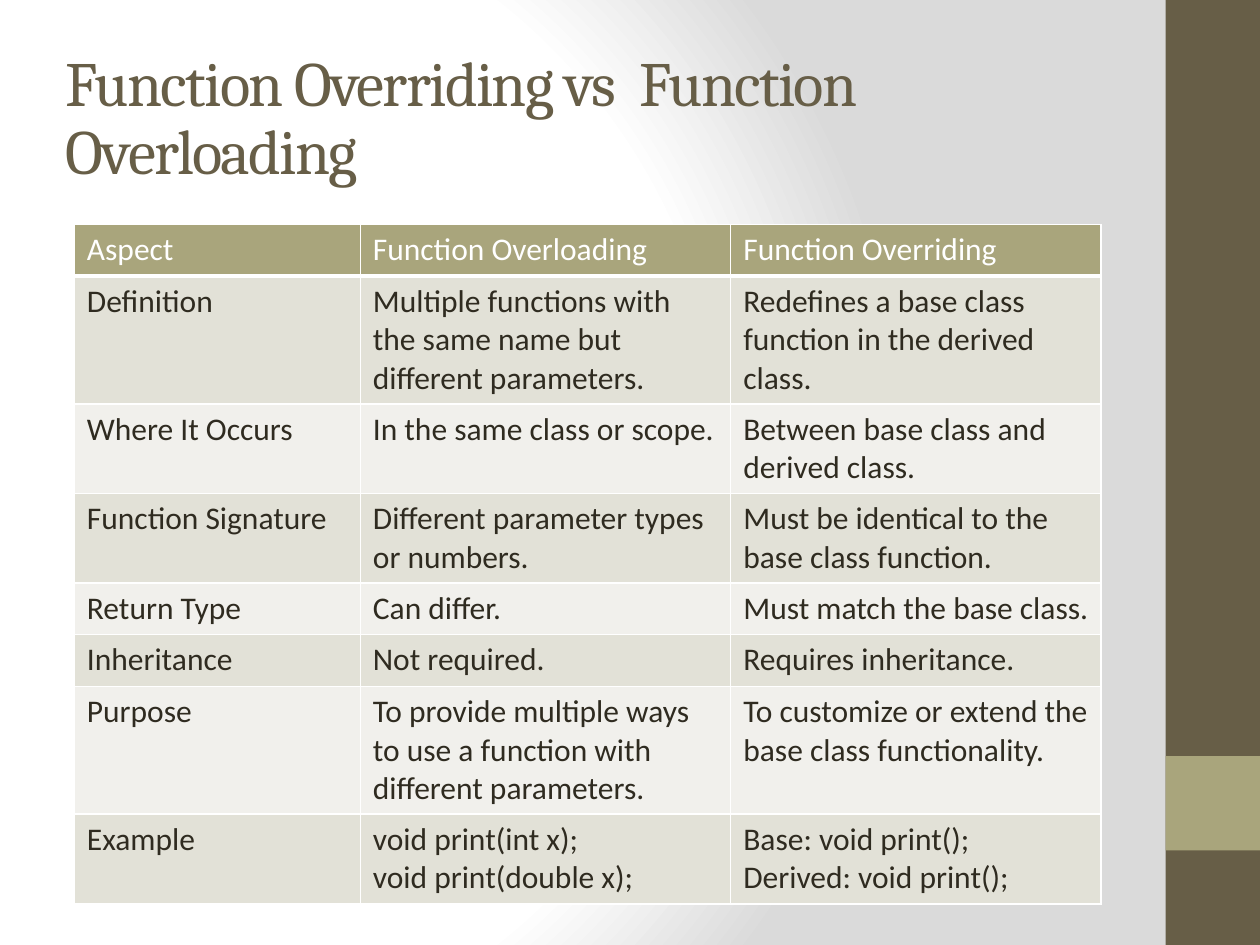
from lxml import etree
from pptx import Presentation
from pptx import util as u
from pptx.dml.color import RGBColor
from pptx.enum import shapes, text
from pptx.oxml.ns import qn

TITLE = "Function Overriding vs  Function Overloading"
COMPARISON = [
    (1, "Aspect", "Function Overloading", "Function Overriding"),
    (3, "Definition", "Multiple functions with the same name but different parameters.",
     "Redefines a base class function in the derived class."),
    (2, "Where It Occurs", "In the same class or scope.", "Between base class and derived class."),
    (2, "Function Signature", "Different parameter types or numbers.",
     "Must be identical to the base class function."),
    (1, "Return Type", "Can differ.", "Must match the base class."),
    (1, "Inheritance", "Not required.", "Requires inheritance."),
    (3, "Purpose", "To provide multiple ways to use a function with different parameters.",
     "To customize or extend the base class functionality."),
    (2, "Example", "void print(int x);\nvoid print(double x);",
     "Base: void print();\nDerived: void print();"),
]
THEME = {
    "brown": "675E47", "olive": "A9A57C", "ink": "2F2B20", "white": "FFFFFF",
    "bands": ("F1F0EC", "E2E1D7"),
    "backdrop": ((0, "FFFFFF"), (75, "FFFFFF"), (100, "DADADA")),
    "focus": {"l": 20, "t": 50, "r": 100, "b": 50},
    "heading": {"name": "Cambria", "size": u.Pt(36), "bold": False},
    "body": {"name": "Calibri", "size": u.Pt(18), "bold": False},
}
WIDTH, HEIGHT = u.Inches(10), u.Inches(7.5)
SIDEBAR_LEFT, SIDEBAR_SHARE = 0.925, 0.075
TABLE_LEFT, TABLE_TOP = 0.59, 1.78
COLUMNS = (2.27, 2.94, 2.94)
LINE_HEIGHT, CELL_PADDING = 0.3, 0.11


def child(parent, tag, **values):
    return etree.SubElement(parent, qn(tag), {key: str(value) for key, value in values.items()})


def style(font, formats, color):
    for key, value in formats.items():
        setattr(font, key, value)
    font.color.rgb = RGBColor.from_string(color)


def paint(fill, color):
    fill.solid()
    fill.fore_color.rgb = RGBColor.from_string(color)


def paint_backdrop(slide):
    slide.background.fill.gradient()
    gradient = next(slide._element.iter(qn("a:gradFill")))
    for part in list(gradient):
        gradient.remove(part)
    stops = child(gradient, "a:gsLst")
    for share, color in THEME["backdrop"]:
        child(child(stops, "a:gs", pos=share * 1000), "a:srgbClr", val=color)
    circle = child(gradient, "a:path", path="circle")
    child(circle, "a:fillToRect", **{side: inset * 1000 for side, inset in THEME["focus"].items()})


def add_sidebar(slide):
    for top, height, color in ((0, 1, "brown"), (0.8, 0.1, "olive")):
        band = slide.shapes.add_shape(
            shapes.MSO_SHAPE.RECTANGLE, int(WIDTH * SIDEBAR_LEFT), int(HEIGHT * top),
            int(WIDTH * SIDEBAR_SHARE), int(HEIGHT * height))
        band.shadow.inherit = False
        band.line.fill.background()
        paint(band.fill, THEME[color])


def add_title(slide):
    title = slide.shapes.title
    for key, value in {"left": 0.42, "top": 0.33, "width": 8.33, "height": 1.25}.items():
        setattr(title, key, u.Inches(value))
    frame = title.text_frame
    frame.text = TITLE
    for key, value in {"word_wrap": True, "auto_size": text.MSO_AUTO_SIZE.NONE,
                       "vertical_anchor": text.MSO_ANCHOR.MIDDLE}.items():
        setattr(frame, key, value)
    heading = frame.paragraphs[0]
    heading.alignment = text.PP_ALIGN.LEFT
    heading.line_spacing = 0.9
    style(heading.runs[0].font, THEME["heading"], THEME["brown"])
    heading.runs[0]._r.get_or_add_rPr().set("spc", "-100")


def add_borders(cell, bottom):
    properties = cell._tc.get_or_add_tcPr()
    for place, (side, points) in enumerate((("L", 1), ("R", 1), ("T", 1), ("B", bottom))):
        border = child(properties, f"a:ln{side}", w=u.Pt(points))
        child(child(border, "a:solidFill"), "a:srgbClr", val=THEME["white"])
        properties.insert(place, border)


def add_comparison(slide):
    heights = [CELL_PADDING + LINE_HEIGHT * lines for lines, *_ in COMPARISON]
    table = slide.shapes.add_table(
        len(COMPARISON), len(COLUMNS), u.Inches(TABLE_LEFT), u.Inches(TABLE_TOP),
        u.Inches(sum(COLUMNS)), u.Inches(sum(heights))).table
    for column, width in zip(table.columns, COLUMNS):
        column.width = u.Inches(width)
    for index, (_, *entries) in enumerate(COMPARISON):
        header = index == 0
        table.rows[index].height = u.Inches(heights[index])
        for cell, entry in zip(table.rows[index].cells, entries):
            cell.text = entry
            paint(cell.fill, THEME["olive"] if header else THEME["bands"][index % 2])
            add_borders(cell, 3 if header else 1)
            for paragraph in cell.text_frame.paragraphs:
                style(paragraph.runs[0].font, THEME["body"], THEME["white" if header else "ink"])


def main():
    deck = Presentation()
    deck.slide_width, deck.slide_height = WIDTH, HEIGHT
    slide = deck.slides.add_slide(deck.slide_layouts[5])
    paint_backdrop(slide)
    add_sidebar(slide)
    add_title(slide)
    add_comparison(slide)
    deck.save("out.pptx")


if __name__ == "__main__":
    main()
